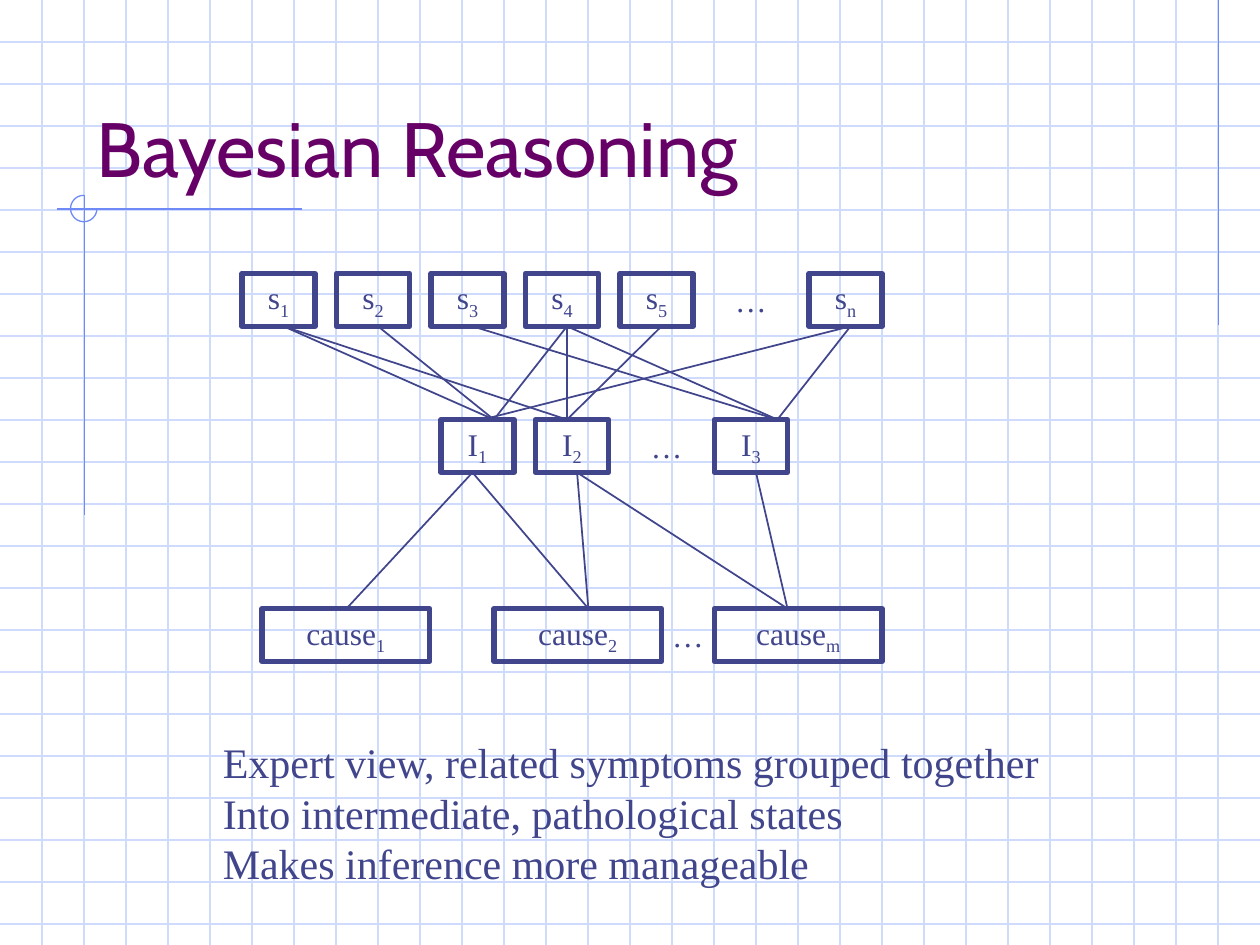
"""Build a slide on Bayesian reasoning with symptoms, intermediate states and causes."""
from typing import NamedTuple

from lxml import etree
from pptx import Presentation, dml, util as u
from pptx.dml import color
from pptx.enum import shapes, text
from pptx.oxml import ns

INK, PLUM, GRID, ACCENT = "40458C", "660066", "CFDBFD", "6F89F7"
SERIF = "Times New Roman"
CENTER, LEFT = text.PP_ALIGN.CENTER, text.PP_ALIGN.LEFT
TOP, MIDDLE, BOTTOM = text.MSO_ANCHOR.TOP, text.MSO_ANCHOR.MIDDLE, text.MSO_ANCHOR.BOTTOM


class Node(NamedTuple):
    """A labelled box; without a subscript it is plain text."""
    x: float
    y: float
    w: float
    label: str
    sub: str = ""


class Fan(NamedTuple):
    """Lines from one point on a level to several points on the next."""
    start: float
    ends: tuple[float, ...]


SYMPTOM_Y, STATE_Y, CAUSE_Y, BOX_H = 2.17, 3.33, 4.83, 0.42
SMALL, WIDE = 0.58, 1.33

NODES = [
    *(Node(1.92 + 0.75 * i, SYMPTOM_Y, SMALL, "s", str(i + 1)) for i in range(5)),
    Node(5.67, SYMPTOM_Y, SMALL, "…"),
    Node(6.42, SYMPTOM_Y, SMALL, "s", "n"),
    Node(3.5, STATE_Y, SMALL, "I", "1"),
    Node(4.25, STATE_Y, SMALL, "I", "2"),
    Node(5, STATE_Y, SMALL, "…"),
    Node(5.67, STATE_Y, SMALL, "I", "3"),
    Node(2.08, CAUSE_Y, WIDE, "cause", "1"),
    Node(3.92, CAUSE_Y, WIDE, "cause", "2"),
    Node(5.17, CAUSE_Y, SMALL, "…"),
    Node(5.67, CAUSE_Y, WIDE, "cause", "m"),
]
SYMPTOM_FANS = [
    Fan(2.25, (3.92, 4.5)), Fan(3, (3.92,)), Fan(3.75, (6.17,)),
    Fan(4.5, (3.92, 4.5, 6.17)), Fan(5.25, (4.5,)), Fan(6.75, (3.83, 6.17)),
]
STATE_FANS = [Fan(3.75, (2.75, 4.67)), Fan(4.58, (4.67, 6.25)), Fan(6, (6.25,))]
NOTES = [
    "Expert view, related symptoms grouped together",
    "Into intermediate, pathological states",
    "Makes inference more manageable",
]


def rgb(value: str) -> color.RGBColor:
    """Turn a hex string into a colour."""
    return color.RGBColor.from_string(value)


def set_line(sp, hue: str, width: float) -> None:
    """Give a shape or connector its line colour and width."""
    sp.line.color.rgb = rgb(hue)
    sp.line.width = u.Pt(width)


def add_line(s, x1: float, y1: float, x2: float, y2: float, hue: str, width: float = 0.75) -> None:
    """Draw a straight line without a shadow."""
    sp = s.shapes.add_connector(shapes.MSO_CONNECTOR.STRAIGHT, *map(u.Inches, (x1, y1, x2, y2)))
    set_line(sp, hue, width)
    etree.SubElement(sp._element.spPr, ns.qn("a:effectLst"))


def add_shape(s, kind: shapes.MSO_SHAPE, x: float, y: float, w: float, h: float,
              hue: str, width: float):
    """Draw an unfilled preset shape without a shadow."""
    sp = s.shapes.add_shape(kind, *map(u.Inches, (x, y, w, h)))
    sp.shadow.inherit = False
    sp.fill.background()
    set_line(sp, hue, width)
    return sp


def add_run(p, words: str, size: float, name: str = SERIF, hue: str = INK):
    """Append a formatted run to a paragraph."""
    r = p.add_run()
    r.text = words
    for key, value in {"size": u.Pt(size), "name": name}.items():
        setattr(r.font, key, value)
    r.font.color.rgb = rgb(hue)
    return r


def set_frame(tf, anchor: text.MSO_ANCHOR, wrap: bool = False) -> None:
    """Set the anchor and wrapping of a text frame."""
    for key, value in {"vertical_anchor": anchor, "word_wrap": wrap}.items():
        setattr(tf, key, value)


def add_text(s, x: float, y: float, w: float, h: float):
    """Add an empty text box and return its frame."""
    return s.shapes.add_textbox(*map(u.Inches, (x, y, w, h))).text_frame


def add_node(s, node: Node) -> None:
    """Draw one node with its label and subscript."""
    area = node.x, node.y, node.w, BOX_H
    if node.sub:
        tf = add_shape(s, shapes.MSO_SHAPE.RECTANGLE, *area, INK, 3).text_frame
    else:
        tf = add_text(s, *area)
    set_frame(tf, MIDDLE)
    p = tf.paragraphs[0]
    p.alignment = CENTER
    add_run(p, node.label, 18)
    if node.sub:
        r = add_run(p, node.sub, 18)
        r._r.get_or_add_rPr().set("baseline", "-25000")


def add_fans(s, fans: list[Fan], top: float, bottom: float) -> None:
    """Link two levels of the network."""
    for fan in fans:
        for end in fan.ends:
            add_line(s, fan.start, top, end, bottom, INK, 1)


def add_backdrop(s) -> None:
    """Draw the grid paper and the accent marks."""
    for i in range(1, 23):
        add_line(s, 0, i / 3, 10, i / 3, GRID)
    for i in range(1, 30):
        add_line(s, i / 3, 0, i / 3, 7.5, GRID)
    add_line(s, 9.67, 0, 9.67, 2.58, ACCENT)
    add_line(s, 2.4, 1.66, 0.45, 1.66, ACCENT)
    add_line(s, 0.67, 1.55, 0.67, 4.09, ACCENT)
    arc = add_shape(s, shapes.MSO_SHAPE.ARC, 0.56, 1.55, 0.21, 0.21, ACCENT, 0.75)
    arc.adjustments[0], arc.adjustments[1] = 0, 162


def main() -> None:
    """Build and save the slide."""
    prs = Presentation()
    prs.slide_width, prs.slide_height = u.Inches(10), u.Inches(7.5)
    s = prs.slides.add_slide(prs.slide_layouts[6])
    add_backdrop(s)

    tf = add_text(s, 0.67, 0.33, 8.5, 1.25)
    set_frame(tf, BOTTOM, True)
    add_run(tf.paragraphs[0], "Bayesian Reasoning", 44, "Cabin", PLUM)

    for node in NODES:
        add_node(s, node)
    add_fans(s, STATE_FANS, STATE_Y + BOX_H, CAUSE_Y)
    add_fans(s, SYMPTOM_FANS, SYMPTOM_Y + BOX_H, STATE_Y)

    tf = add_text(s, 1.67, 5.8, 6.7, 1.3)
    set_frame(tf, TOP)
    for i, note in enumerate(NOTES):
        p = tf.add_paragraph() if i else tf.paragraphs[0]
        p.alignment = LEFT
        add_run(p, note, 24)
    prs.save("out.pptx")


if __name__ == "__main__":
    main()
